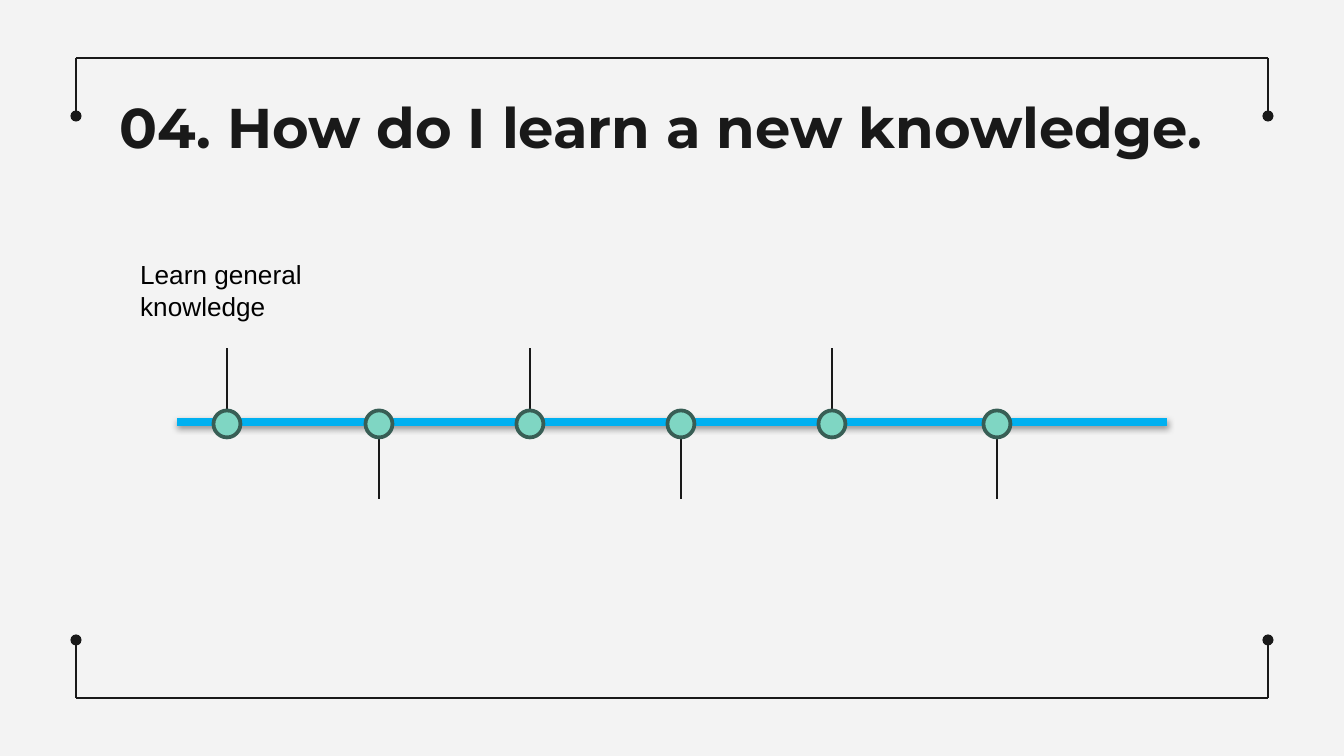
from lxml import etree
from pptx import Presentation
from pptx import util as u
from pptx.dml.color import RGBColor
from pptx.enum import shapes, text
from pptx.oxml.ns import qn

PX = 914400 / 134.4  # EMU in one px

PAPER = RGBColor(0xF3, 0xF3, 0xF3)
INK = RGBColor(0x19, 0x19, 0x19)
STEM = RGBColor(0x18, 0x18, 0x18)
BLACK = RGBColor(0x00, 0x00, 0x00)
BLUE = RGBColor(0x00, 0xB0, 0xF0)
MINT = RGBColor(0x7F, 0xD6, 0xC3)
PINE = RGBColor(0x38, 0x5E, 0x55)


def px(n):
    return u.Emu(round(n * PX))


class Deck:
    def __init__(self, width, height):
        self.prs = Presentation()
        self.prs.slide_width, self.prs.slide_height = px(width), px(height)
        self.s = self.prs.slides.add_slide(self.prs.slide_layouts[6])
        fill = self.s.background.fill
        fill.solid()
        fill.fore_color.rgb = PAPER

    def line(self, x1, y1, x2, y2, color, weight, dot=False, shadow=False):
        sp = self.s.shapes.add_connector(
            shapes.MSO_CONNECTOR.STRAIGHT, px(x1), px(y1), px(x2), px(y2))
        sp.line.color.rgb = color
        sp.line.width = u.Pt(weight)
        if dot:
            etree.SubElement(sp.line._get_or_add_ln(), qn("a:tailEnd"), type="oval")
        effects = etree.SubElement(sp._element.spPr, qn("a:effectLst"))
        if shadow:
            outer = etree.SubElement(
                effects, qn("a:outerShdw"), blurRad="40000", dist="20000",
                dir="5400000", rotWithShape="0")
            black = etree.SubElement(outer, qn("a:srgbClr"), val="000000")
            etree.SubElement(black, qn("a:alpha"), val="38000")

    def node(self, x, y, size):
        sp = self.s.shapes.add_shape(
            shapes.MSO_SHAPE.FLOWCHART_CONNECTOR,
            px(x - size / 2), px(y - size / 2), px(size), px(size))
        sp.shadow.inherit = False
        sp.fill.solid()
        sp.fill.fore_color.rgb = MINT
        sp.line.color.rgb = PINE
        sp.line.width = u.Pt(2)

    def text(self, x, y, w, h, words, font, size, color, bold=False,
             anchor=text.MSO_ANCHOR.TOP):
        tf = self.s.shapes.add_textbox(px(x), px(y), px(w), px(h)).text_frame
        tf.word_wrap = True
        tf.vertical_anchor = anchor
        tf.margin_left = tf.margin_right = tf.margin_top = tf.margin_bottom = u.Inches(0.1)
        tf.text = words
        r = tf.paragraphs[0].runs[0]
        r.font.name, r.font.size, r.font.bold = font, u.Pt(size), bold
        r.font.color.rgb = color


def main():
    deck = Deck(1344, 756)

    # Frame: top and bottom brackets with dotted ends
    left, right = 76, 1268
    for edge, end in ((58, 116), (698, 640)):
        deck.line(left, edge, right, edge, INK, 0.75)
        for x in (left, right):
            deck.line(x, edge, x, end, INK, 0.75, dot=True)

    # Title
    deck.text(106, 79, 1133, 85, "04. How do I learn a new knowledge.",
              "Montserrat", 30, INK, bold=True)

    # Timeline bar and first label
    axis = 422
    deck.line(177, axis, 1167, axis, BLUE, 4.5, shadow=True)
    deck.text(127, 250, 202, 85, "Learn general knowledge", "Arial", 14, BLACK,
              anchor=text.MSO_ANCHOR.BOTTOM)

    # Milestones: stems alternate above and below the bar
    for i, x in enumerate((227, 379, 530, 681, 832, 997)):
        stem_end = 348 if i % 2 == 0 else 499
        deck.line(x, axis, x, stem_end, STEM, 1)
        deck.node(x, axis + 2, 27)

    deck.prs.save("out.pptx")


if __name__ == "__main__":
    main()
